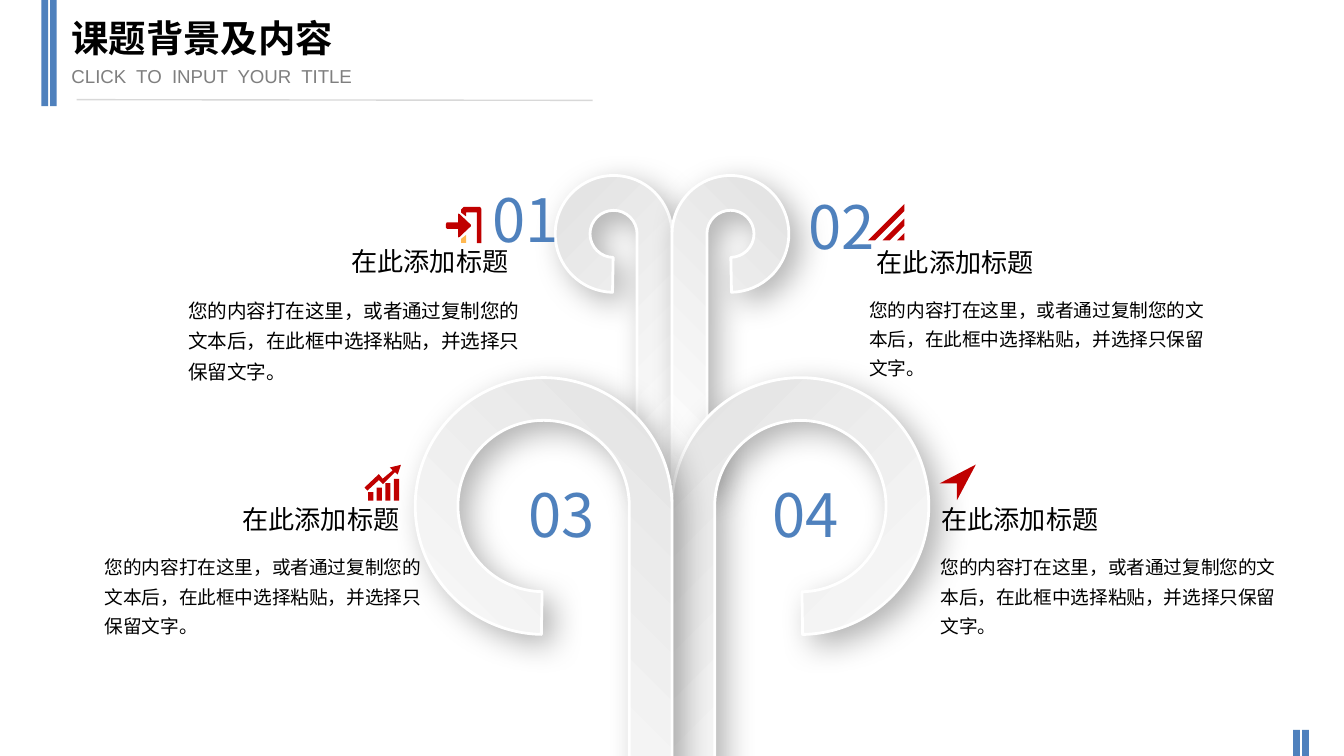
from math import cos, radians, sin, sqrt, tan

from lxml import etree
from pptx import Presentation
from pptx.dml.color import RGBColor
from pptx.enum.shapes import MSO_CONNECTOR, MSO_SHAPE
from pptx.enum.text import PP_ALIGN
from pptx.oxml import parse_xml
from pptx.oxml.ns import qn
from pptx.util import Pt

RECT = MSO_SHAPE.RECTANGLE
LINE = MSO_CONNECTOR.STRAIGHT
LEFT, MID = PP_ALIGN.LEFT, PP_ALIGN.CENTER
BLUE, RED, AMBER = "4F81BD", "C00000", "FFB850"
BLACK, GREY = "000000", "7F7F7F"
SANS, ARIAL = "Noto Sans CJK SC", "Arial"
NS = "http://schemas.openxmlformats.org/drawingml/2006/main"
SHADOW = (f'<a:effectLst xmlns:a="{NS}"><a:outerShdw blurRad="{Pt(17)}" '
          f'dist="{Pt(7)}" dir="2700000" algn="tl" rotWithShape="0">'
          '<a:srgbClr val="000000"><a:alpha val="30000"/></a:srgbClr>'
          '</a:outerShdw></a:effectLst>')

prs = Presentation()
prs.slide_width, prs.slide_height = Pt(720), Pt(405)
slide = prs.slides.add_slide(prs.slide_layouts[6])
shapes = slide.shapes
color = RGBColor.from_string


def write(text, x, y, w, h, size, hue=BLACK, font=SANS, align=LEFT, gap=None):
    """Add a text box; gap is the line spacing as a factor."""
    box = shapes.add_textbox(Pt(x), Pt(y), Pt(w), Pt(h))
    frame = box.text_frame
    frame.word_wrap = True
    frame.text = text
    para = frame.paragraphs[0]
    para.alignment = align
    para.line_spacing = gap
    run = para.runs[0]
    run.font.size = Pt(size)
    run.font.name = font
    run.font.color.rgb = color(hue)
    east = etree.SubElement(run.font._element, qn("a:ea"))
    east.set("typeface", SANS)
    return run


def outline(points):
    """Add a closed shape through the points, without shadow."""
    spots = [(Pt(x), Pt(y)) for x, y in points]
    path = shapes.build_freeform(*spots[0])
    path.add_line_segments(spots[1:], close=True)
    shape = path.convert_to_shape()
    shape.shadow.inherit = False
    return shape


# Blue bars: header, corner, and the columns of the growth icon
bars = [(x, 0, 3.6, 56.9, BLUE) for x in (22.2, 26.8)]
bars += [(x, 391, 3.6, 14, BLUE) for x in (692.8, 697.6)]
for i, high in enumerate((4.5, 7, 9.4, 11.7)):
    bars.append((197.2 + 4.6 * i, 268.2 - high, 2.8, high, RED))
for x, y, w, h, hue in bars:
    bar = shapes.add_shape(RECT, Pt(x), Pt(y), Pt(w), Pt(h))
    bar.shadow.inherit = False
    bar.fill.solid()
    bar.fill.fore_color.rgb = color(hue)
    bar.line.fill.background()

# Header
rule = shapes.add_connector(LINE, Pt(41), Pt(53.4), Pt(317.5), Pt(53.8))
rule.line.color.rgb = color("D8D8D8")
rule.line.width = Pt(0.75)
etree.SubElement(rule._element.spPr, qn("a:effectLst"))
write("CLICK  TO  INPUT  YOUR  TITLE", 31.2, 31, 226.8, 19.4, 10, GREY, ARIAL)
write("课题背景及内容", 31.2, 4.5, 290.9, 36, 20, font=ARIAL).font.bold = True

# Curled ribbons, drawn lying down and then turned upright about their
# middle. Per ribbon: side, turn, then radii, arc centre and foot.
small = (31.3, 12.6, 125.3, 258.5)
large = (68.8, 45.9, 271.1, 436.3)
ANGLES = [radians(a) for a in (0, 45, 135, 225, 269)]
for side, turn, (outer, inner, mid, foot) in (
        (-1, 270, small), (1, 90, small), (1, 270, large), (-1, 90, large)):
    axis = 360 + side * outer
    nodes, pulls = [], {}
    for r, angles in ((outer, ANGLES), (inner, ANGLES[::-1])):
        for i, a in enumerate(angles):
            if i:
                last = angles[i - 1]
                k = 4 / 3 * tan((a - last) / 4)
                pulls[len(nodes)] = [
                    (axis - side * r * (cos(t) - s * k * sin(t)),
                     mid - r * (sin(t) + s * k * cos(t)))
                    for t, s in ((last, 1), (a, -1))]
            nodes.append((axis - side * r * cos(a), mid - r * sin(a)))
    nodes += [(360 + side * (outer - inner), foot), (360, foot)]

    reach = outer * sqrt(0.5)
    cx = 360 + side * (outer + reach) / 2
    cy = (mid - reach + foot) / 2
    way = 1 if turn == 90 else -1
    lay = [(cx + way * (y - cy), cy - way * (x - cx)) for x, y in nodes]
    ribbon = outline(lay)
    track = next(ribbon._element.iter(qn("a:path")))
    parts = list(track)
    for i, pair in pulls.items():
        bend = parts[i]
        bend.tag = qn("a:cubicBezTo")
        for n, (x, y) in enumerate(pair):
            knot = etree.Element(qn("a:pt"))
            knot.set("x", str(Pt(cx + way * (y - cy)) - ribbon.left))
            knot.set("y", str(Pt(cy - way * (x - cx)) - ribbon.top))
            bend.insert(n, knot)
    ribbon.rotation = turn
    ribbon.fill.gradient()
    ribbon.fill.gradient_angle = 315 if turn == 90 else 225
    for stop, hue, place in zip(ribbon.fill.gradient_stops,
                                ("E4E4E4", "FFFFFF"), (0, 1)):
        stop.color.rgb = color(hue)
        stop.position = place
    ribbon.line.color.rgb = color("FFFFFF")
    ribbon.line.width = Pt(1.5)
    props = ribbon._element.spPr
    props.replace(props.find(qn("a:effectLst")), parse_xml(SHADOW))

# Icons
door = [(257.2, 110.9), (248.4, 110.9), (247, 112.3), (247, 113.9),
        (249.7, 116), (249.7, 113.8), (255.4, 113.8), (255.4, 130.2),
        (257.9, 130.2), (257.9, 112)]
sill = [(247, 130.2), (249.7, 130.2), (249.7, 125.9), (247, 128)]
arrow = [(245.5, 114.5), (245.5, 119.2), (239.3, 119.2), (238.9, 120),
         (238.9, 121.9), (239.5, 122.7), (245.5, 122.7), (245.5, 127.2),
         (246.2, 127), (252.2, 121.3), (252.2, 120.4), (246.2, 114.7)]
trend = [(213.1, 254.2), (214.8, 249), (208.9, 250.5), (210.4, 252),
         (205, 256.5), (203, 254), (195.3, 261.2), (196.9, 262.8),
         (203, 257.2), (205.2, 259.4), (211.6, 253)]
dart = [(503.4, 259), (512.7, 259), (512.7, 268), (522.8, 248.9)]
tip = [(484.5, 128.8), (484.5, 124.9), (480.6, 128.8)]
icons = [(door, RED), (sill, AMBER), (arrow, RED), (trend, RED),
         (dart, RED), (tip, RED)]
for far, near in ((11.7, 7.9), (19.5, 15.7)):
    stripe = [(484.5 - far, 128.8), (484.5 - near, 128.8),
              (484.5, 128.8 - near), (484.5, 128.8 - far)]
    icons.append((stripe, RED))
for points, hue in icons:
    icon = outline(points)
    icon.fill.solid()
    icon.fill.fore_color.rgb = color(hue)
    icon.line.fill.background()

# Numbers
for text, x, y in (("01", 251.8, 94.3), ("02", 421.2, 98.2),
                   ("03", 271, 252.3), ("04", 401.8, 252.3)):
    write(text, x, y, 59.8, 46, 32, BLUE, align=MID)

# Headings and notes: heading x, y, then note x, y, width, height, size
HEAD = "在此添加标题"
NOTE = "您的内容打在这里，或者通过复制您的文本后，在此框中选择粘贴，并选择只保留文字。"
for x, y, left, top, wide, high, size in (
        (181.1, 127.8, 93.9, 152.6, 201.6, 56.9, 10.5),
        (462.6, 128.2, 458.6, 153, 195.4, 54.7, 10),
        (122.8, 266.4, 49, 290.9, 193, 54.7, 10),
        (497.2, 266.4, 496.8, 290.9, 200.2, 54.7, 10)):
    write(HEAD, x, y, 113.8, 24.5, 14)
    write(NOTE, left, top, wide, high, size, gap=1.3)

prs.save("out.pptx")
